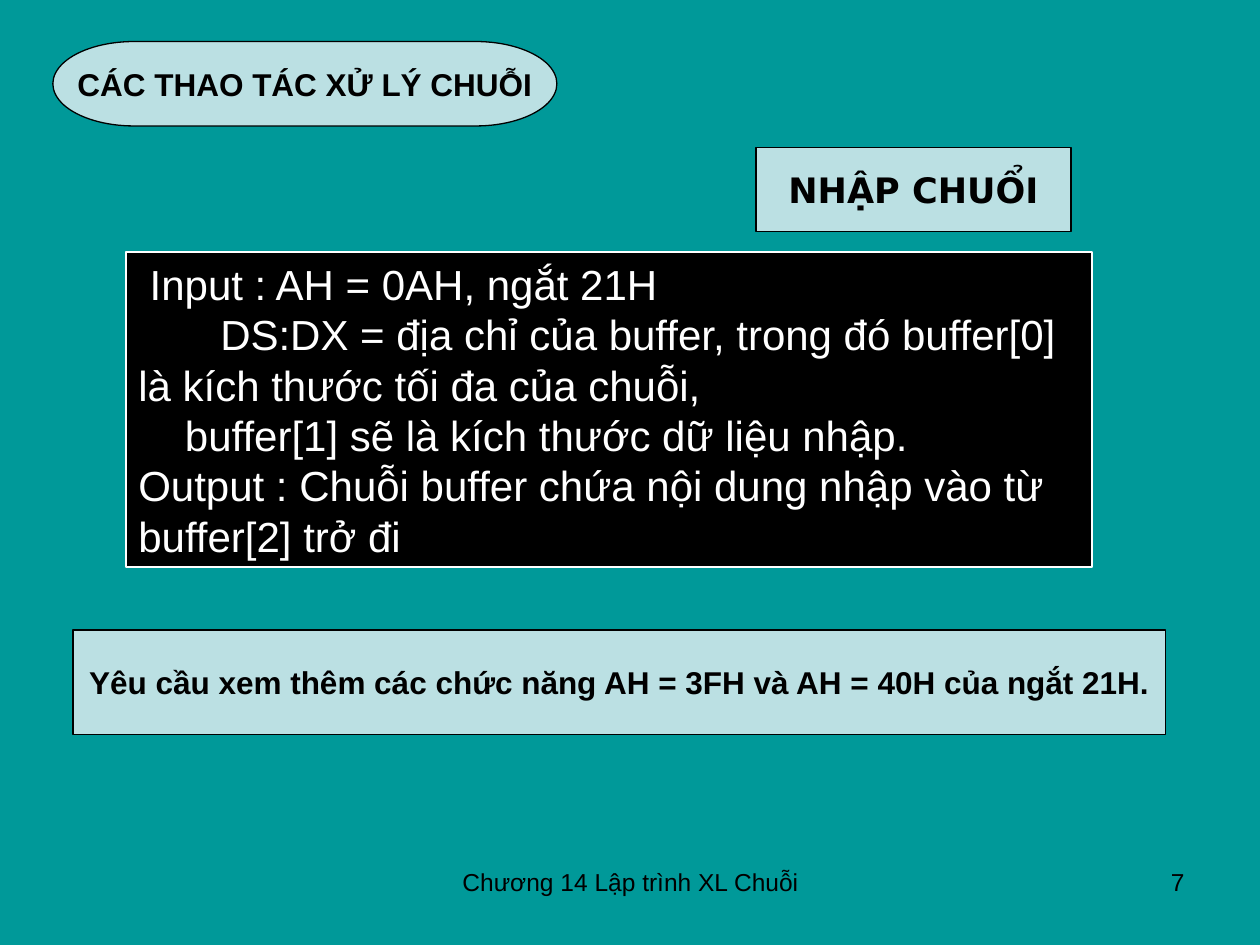
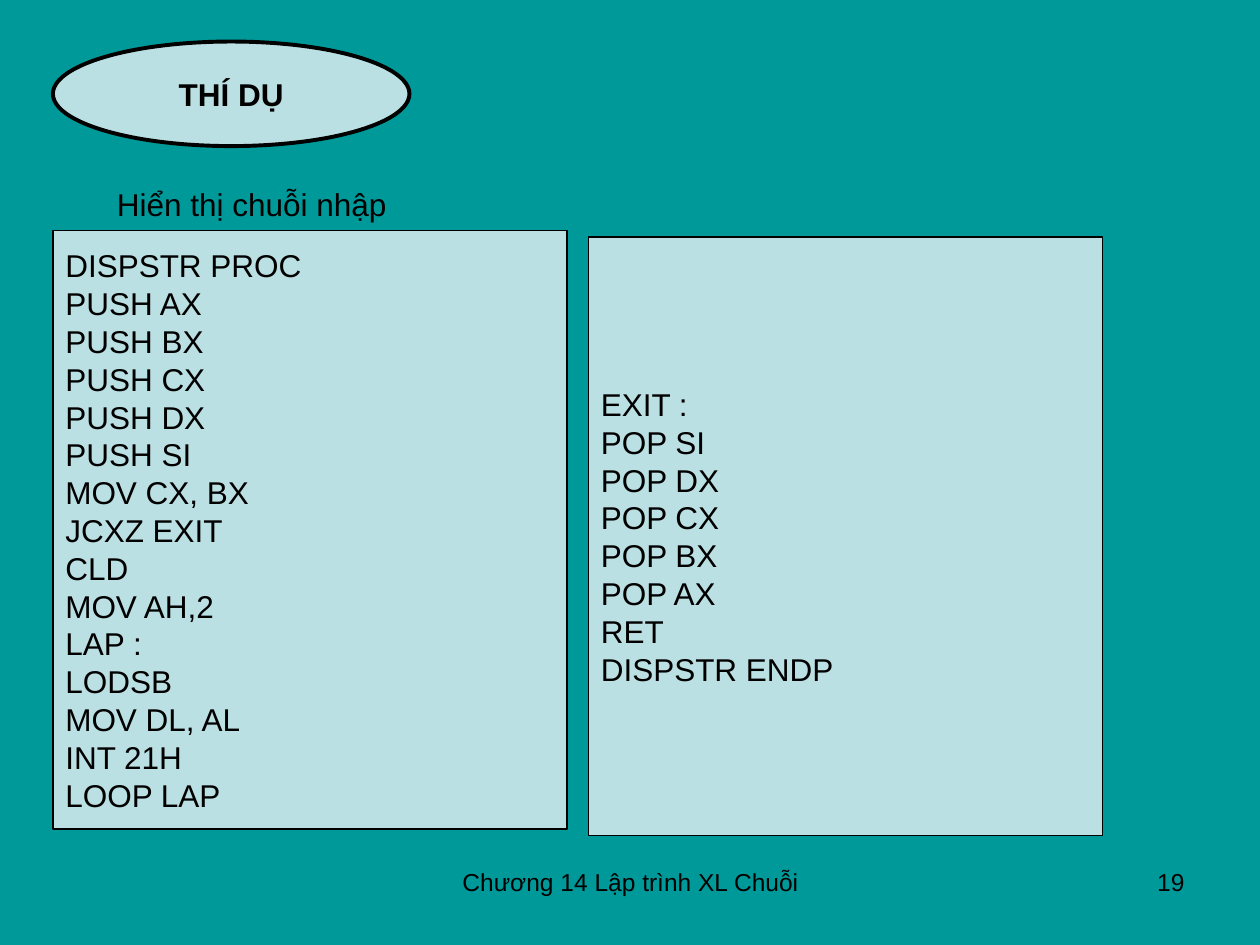
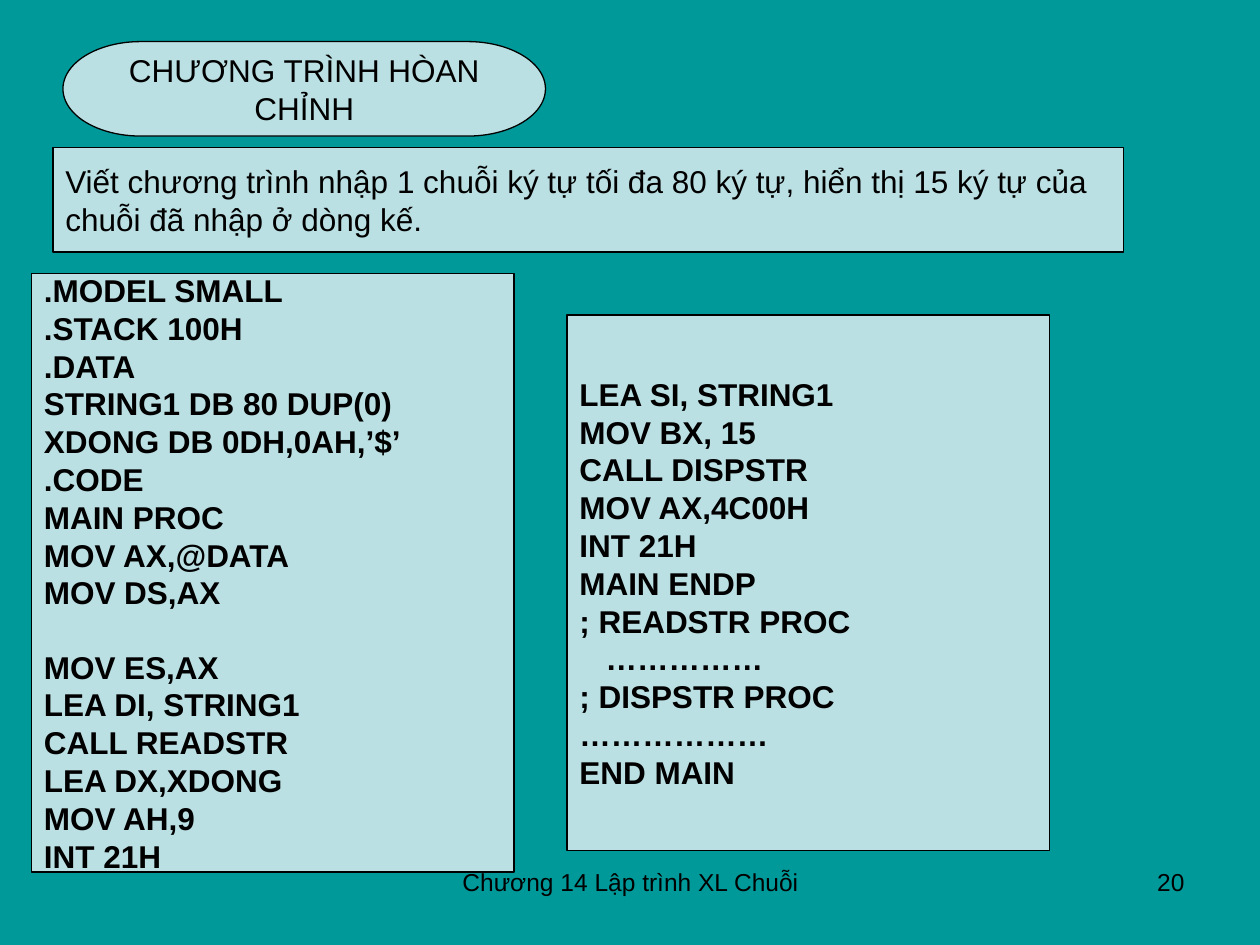
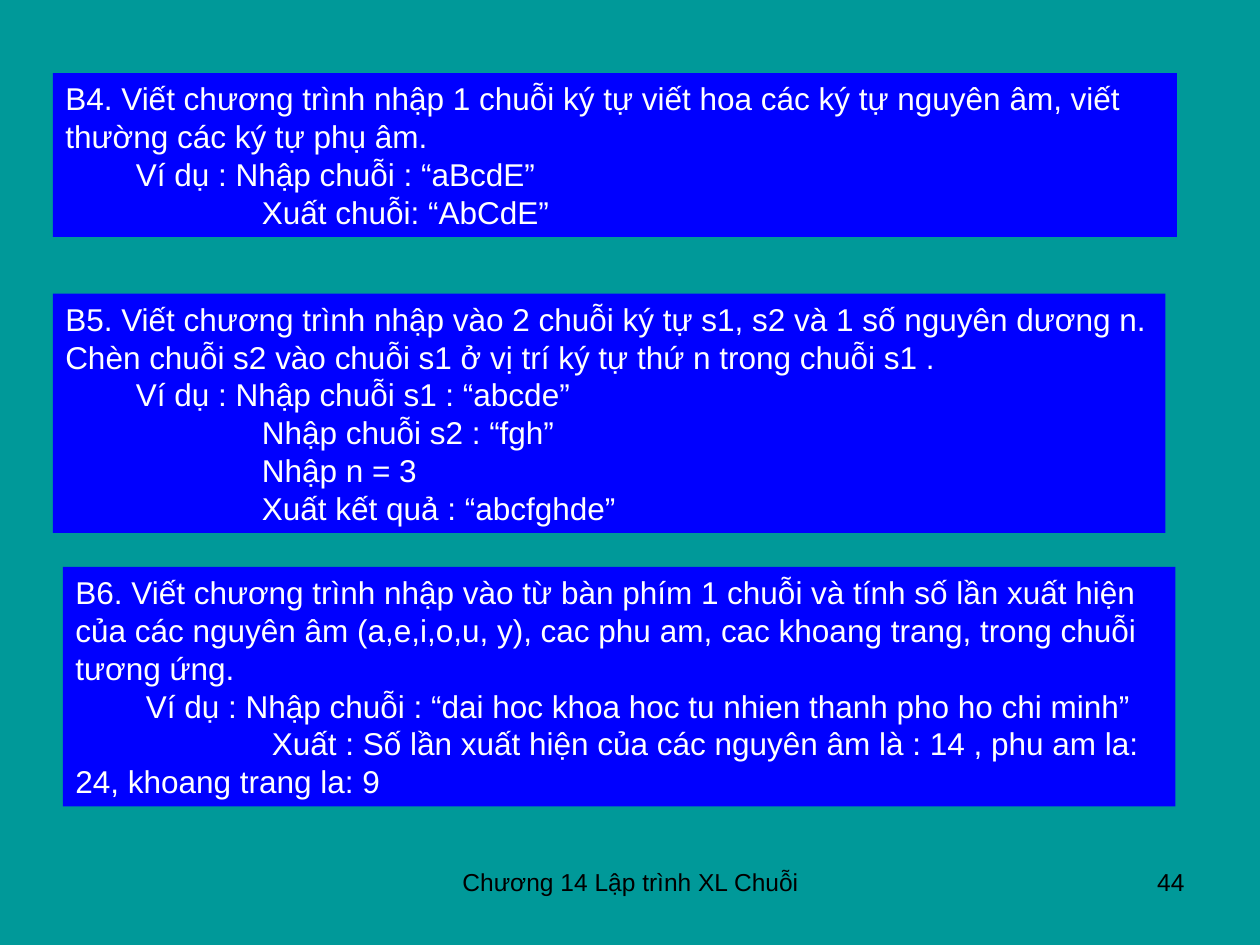
from dataclasses import dataclass
from typing import Any, NamedTuple, Optional

from pptx import Presentation
from pptx.dml.color import RGBColor
from pptx.enum.shapes import MSO_SHAPE
from pptx.enum.text import MSO_ANCHOR, MSO_AUTO_SIZE, PP_ALIGN
from pptx.util import Inches, Pt


@dataclass(frozen=True)
class Theme:
    teal: RGBColor = RGBColor(0x00, 0x99, 0x99)
    pale: RGBColor = RGBColor(0xBB, 0xE0, 0xE3)
    blue: RGBColor = RGBColor(0x00, 0x00, 0xFF)
    black: RGBColor = RGBColor(0x00, 0x00, 0x00)
    white: RGBColor = RGBColor(0xFF, 0xFF, 0xFF)
    font: str = "Arial"
    heading_font: str = "DejaVu Sans"
    large: float = 24
    heading: float = 20
    body: float = 18
    footer: float = 14
    thin: float = 0.75
    medium: float = 1
    thick: float = 2.25
    blank_line: float = 20.7


THEME = Theme()


class Area(NamedTuple):
    left: float
    top: float
    width: float
    height: float


class Line(NamedTuple):
    text: str
    indent: float = 0
    before: float = 0


@dataclass(frozen=True)
class TextStyle:
    size: float = THEME.body
    color: RGBColor = THEME.black
    font: str = THEME.font
    bold: bool = False
    align: PP_ALIGN = PP_ALIGN.LEFT
    anchor: MSO_ANCHOR = MSO_ANCHOR.MIDDLE
    wrap: bool = False


@dataclass(frozen=True)
class Panel:
    area: Area
    lines: tuple[Line, ...]
    style: TextStyle = TextStyle()
    fill: RGBColor = THEME.pale
    border: Optional[RGBColor] = THEME.black
    border_width: float = THEME.thin
    outline: MSO_SHAPE = MSO_SHAPE.RECTANGLE


@dataclass(frozen=True)
class Heading:
    text: str
    area: Area
    bold: bool = True
    outline: MSO_SHAPE = MSO_SHAPE.FLOWCHART_TERMINATOR
    border_width: float = THEME.thin


@dataclass(frozen=True)
class Page:
    number: int
    panels: tuple[Panel, ...]
    heading: Optional[Heading] = None
    caption: Optional[Line] = None


CODE = TextStyle()
BOLD_CODE = TextStyle(bold=True)
NOTICE = TextStyle(bold=True, align=PP_ALIGN.CENTER)
EXERCISE = TextStyle(color=THEME.white, anchor=MSO_ANCHOR.TOP, wrap=True)
CAPTION = TextStyle(anchor=MSO_ANCHOR.TOP, wrap=True)
FOOTER = TextStyle(THEME.footer, align=PP_ALIGN.CENTER, anchor=MSO_ANCHOR.TOP, wrap=True)
PAGE_NUMBER = TextStyle(THEME.footer, align=PP_ALIGN.RIGHT, anchor=MSO_ANCHOR.TOP, wrap=True)

FOOTER_TEXT = "Chương 14 Lập trình XL Chuỗi"
FOOTER_AREA = Area(3.42, 6.83, 3.17, 0.52)
NUMBER_AREA = Area(7.17, 6.83, 2.33, 0.52)
CAPTION_AREA = Area(0.83, 1.42, 6.08, 0.4)
EXAMPLE_INDENT = 0.56
RESULT_INDENT = 1 + EXAMPLE_INDENT


def exercise(area: Area, task: str, example: str, *results: str) -> Panel:
    lines = (
        Line(task),
        Line(example, EXAMPLE_INDENT),
        *(Line(result, RESULT_INDENT) for result in results),
    )
    return Panel(area, lines, EXERCISE, THEME.blue, None)


PAGES = (
    Page(
        7,
        (
            Panel(
                Area(6, 1.17, 2.5, 0.67),
                (Line("NHẬP CHUỔI"),),
                TextStyle(THEME.heading, font=THEME.heading_font, bold=True, align=PP_ALIGN.CENTER),
                outline=MSO_SHAPE.FLOWCHART_PROCESS,
            ),
            Panel(
                Area(1, 2, 7.67, 2.5),
                (
                    Line("Input : AH = 0AH, ngắt 21H", 0.09),
                    Line("DS:DX = địa chỉ của buffer, trong đó buffer[0] là kích thước tối đa của chuỗi,", 0.65),
                    Line("buffer[1] sẽ là kích thước dữ liệu nhập.", 0.37),
                    Line("Output : Chuỗi buffer chứa nội dung nhập vào từ buffer[2] trở đi"),
                ),
                TextStyle(THEME.large, THEME.white, wrap=True),
                THEME.black,
                THEME.white,
                THEME.medium,
            ),
            Panel(
                Area(0.58, 5, 8.67, 0.83),
                (Line("Yêu cầu xem thêm các chức năng AH = 3FH và AH = 40H của ngắt 21H."),),
                NOTICE,
            ),
        ),
        Heading("CÁC THAO TÁC XỬ LÝ CHUỖI", Area(0.42, 0.33, 4, 0.67)),
    ),
    Page(
        19,
        (
            Panel(
                Area(0.42, 1.83, 4.08, 4.75),
                (
                    Line(
                        "DISPSTR PROC\nPUSH AX\nPUSH BX\nPUSH CX\nPUSH DX\nPUSH SI\n"
                        "MOV CX, BX\nJCXZ EXIT\nCLD\nMOV AH,2\nLAP :\nLODSB\n"
                        "MOV DL, AL\nINT 21H\nLOOP LAP"
                    ),
                ),
                CODE,
            ),
            Panel(
                Area(4.67, 1.88, 4.08, 4.75),
                (
                    Line("EXIT :\nPOP SI"),
                    Line("POP DX\nPOP CX\nPOP BX\nPOP AX\nRET\nDISPSTR ENDP"),
                ),
                CODE,
            ),
        ),
        Heading("THÍ DỤ", Area(0.42, 0.33, 2.83, 0.83), outline=MSO_SHAPE.OVAL, border_width=THEME.thick),
        Line("Hiển thị chuỗi nhập"),
    ),
    Page(
        20,
        (
            Panel(
                Area(0.42, 1.17, 8.5, 0.83),
                (
                    Line(
                        "Viết chương trình nhập 1 chuỗi ký tự tối đa 80 ký tự, hiển thị 15 ký tự của\n"
                        "chuỗi đã nhập ở dòng kế."
                    ),
                ),
            ),
            Panel(
                Area(0.25, 2.17, 3.83, 4.75),
                (
                    Line(
                        ".MODEL SMALL\n.STACK 100H\n.DATA\nSTRING1 DB 80 DUP(0)\n"
                        "XDONG DB 0DH,0AH,’$’\n.CODE\nMAIN PROC\nMOV AX,@DATA\nMOV DS,AX"
                    ),
                    Line(
                        "MOV ES,AX\nLEA DI, STRING1\nCALL READSTR\nLEA DX,XDONG\nMOV AH,9\nINT 21H",
                        before=THEME.blank_line,
                    ),
                ),
                BOLD_CODE,
            ),
            Panel(
                Area(4.5, 2.5, 3.83, 4.25),
                (
                    Line(
                        "LEA SI, STRING1\nMOV BX, 15\nCALL DISPSTR\nMOV AX,4C00H\nINT 21H\n"
                        "MAIN ENDP\n; READSTR PROC\n   ……………\n; DISPSTR PROC\n"
                        "………………\nEND MAIN"
                    ),
                ),
                BOLD_CODE,
            ),
        ),
        Heading("CHƯƠNG TRÌNH HÒAN CHỈNH", Area(0.5, 0.33, 3.83, 0.75), bold=False),
    ),
    Page(
        44,
        (
            exercise(
                Area(0.42, 0.58, 8.92, 1.3),
                "B4. Viết chương trình nhập 1 chuỗi ký tự viết hoa các ký tự nguyên âm, "
                "viết thường các ký tự phụ âm.",
                "Ví dụ : Nhập chuỗi : “aBcdE”",
                "Xuất chuỗi: “AbCdE”",
            ),
            exercise(
                Area(0.42, 2.33, 8.83, 1.9),
                "B5. Viết chương trình nhập vào 2 chuỗi ký tự s1, s2 và 1 số nguyên dương n. "
                "Chèn chuỗi s2 vào chuỗi s1 ở vị trí ký tự thứ n trong chuỗi s1 .",
                "Ví dụ : Nhập chuỗi s1 : “abcde”",
                "Nhập chuỗi s2 : “fgh”",
                "Nhập n = 3",
                "Xuất kết quả : “abcfghde”",
            ),
            exercise(
                Area(0.5, 4.5, 8.83, 1.9),
                "B6. Viết chương trình nhập vào từ bàn phím 1 chuỗi và tính số lần xuất hiện "
                "của các nguyên âm (a,e,i,o,u, y), cac phu am, cac khoang trang, "
                "trong chuỗi tương ứng.",
                "Ví dụ : Nhập chuỗi : “dai hoc khoa hoc tu nhien thanh pho ho chi minh”",
                "Xuất : Số lần xuất hiện của các nguyên âm là : 14 , phu am la: 24, khoang trang la: 9",
            ),
        ),
    ),
)


def apply_format(target: Any, values: dict[str, Any]) -> None:
    for attribute, value in values.items():
        setattr(target, attribute, value)


def place(area: Area) -> tuple[int, ...]:
    return tuple(Inches(length) for length in area)


def write(frame: Any, lines: tuple[Line, ...], style: TextStyle) -> None:
    apply_format(frame, {
        "auto_size": MSO_AUTO_SIZE.NONE,
        "word_wrap": style.wrap,
        "vertical_anchor": style.anchor,
        "margin_left": Inches(0.1),
        "margin_right": Inches(0.1),
        "margin_top": Inches(0.05),
        "margin_bottom": Inches(0.05),
    })
    for position, line in enumerate(lines):
        paragraph = frame.add_paragraph() if position else frame.paragraphs[0]
        paragraph.text = line.text
        apply_format(paragraph, {"alignment": style.align, "space_before": Pt(line.before)})
        if line.indent:
            properties = paragraph._p.get_or_add_pPr()
            properties.set("marL", "0")
            properties.set("indent", str(Inches(line.indent)))
        for run in paragraph.runs:
            apply_format(run.font, {"name": style.font, "size": Pt(style.size), "bold": style.bold})
            run.font.color.rgb = style.color


def draw_panel(slide: Any, panel: Panel) -> Any:
    box = slide.shapes.add_shape(panel.outline, *place(panel.area))
    box.shadow.inherit = False
    box.fill.solid()
    box.fill.fore_color.rgb = panel.fill
    if panel.border is None:
        box.line.fill.background()
    else:
        box.line.color.rgb = panel.border
        box.line.width = Pt(panel.border_width)
    if panel.lines:
        write(box.text_frame, panel.lines, panel.style)
    return box


def draw_heading(slide: Any, heading: Heading) -> None:
    badge = draw_panel(
        slide,
        Panel(heading.area, (), border_width=heading.border_width, outline=heading.outline),
    )
    title = slide.shapes.title
    title.element.addprevious(badge.element)
    apply_format(title, dict(zip(("left", "top", "width", "height"), place(heading.area))))
    style = TextStyle(bold=heading.bold, align=PP_ALIGN.CENTER)
    write(title.text_frame, (Line(heading.text),), style)


def draw_label(slide: Any, area: Area, line: Line, style: TextStyle) -> None:
    label = slide.shapes.add_textbox(*place(area))
    write(label.text_frame, (line,), style)


def draw_page(deck: Any, page: Page) -> None:
    layout_name = "Title Only" if page.heading else "Blank"
    slide = deck.slides.add_slide(deck.slide_layouts.get_by_name(layout_name))
    if page.heading:
        draw_heading(slide, page.heading)
    if page.caption:
        draw_label(slide, CAPTION_AREA, page.caption, CAPTION)
    for panel in page.panels:
        draw_panel(slide, panel)
    draw_label(slide, FOOTER_AREA, Line(FOOTER_TEXT), FOOTER)
    draw_label(slide, NUMBER_AREA, Line(str(page.number)), PAGE_NUMBER)


def main() -> None:
    deck = Presentation()
    apply_format(deck, {"slide_width": Inches(10), "slide_height": Inches(7.5)})
    background = deck.slide_master.background.fill
    background.solid()
    background.fore_color.rgb = THEME.teal
    for page in PAGES:
        draw_page(deck, page)
    deck.save("out.pptx")


if __name__ == "__main__":
    main()
